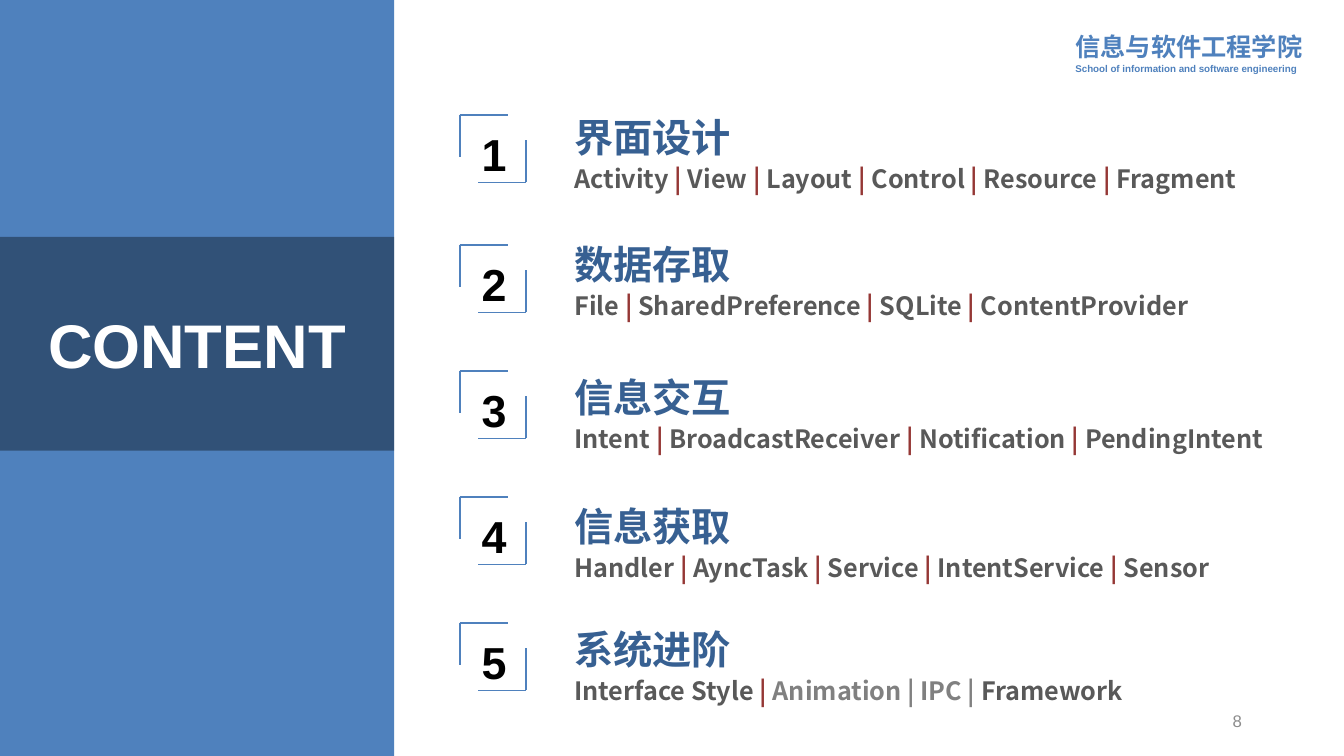
from lxml import etree
from pptx import Presentation, util as u
from pptx.dml.color import RGBColor
from pptx.enum import shapes, text
from pptx.oxml.ns import qn

COLORS = {
    "blue": "4F81BD", "heading": "376092", "body": "595959", "bar": "953735",
    "muted": "808080", "page": "8C8C8C", "black": "000000", "white": "FFFFFF",
}
LATIN, CJK = "Arial", "Noto Sans CJK SC"
COLUMNS, ROWS = 160, 90


class Deck:
    def __init__(self, prs):
        self.prs = prs
        self.s = prs.slides.add_slide(prs.slide_layouts[5])

    def color(self, name):
        return RGBColor.from_string(COLORS[name])

    def x(self, columns):
        return round(self.prs.slide_width * columns / COLUMNS)

    def y(self, rows):
        return round(self.prs.slide_height * rows / ROWS)

    def box(self, left, top, width, height):
        return self.x(left), self.y(top), self.x(width), self.y(height)

    def style(self, p, size, color=None, font=LATIN, bold=True, spacing=None):
        p.font.size = u.Pt(size)
        p.font.bold = bold
        p.font.name = font
        if color:
            p.font.color.rgb = self.color(color)
        if spacing:
            p.line_spacing = spacing
        props = p._p.get_or_add_pPr().find(qn("a:defRPr"))
        etree.SubElement(props, qn("a:ea"), typeface=CJK)

    def panel(self, *grid):
        sp = self.s.shapes.add_shape(shapes.MSO_SHAPE.RECTANGLE, *self.box(*grid))
        sp.shadow.inherit = False
        sp.fill.solid()
        sp.fill.fore_color.rgb = self.color("blue")
        sp.line.fill.background()

    def title(self, words, *grid):
        sp = self.s.shapes.title
        sp.left, sp.top, sp.width, sp.height = self.box(*grid)
        sp.element.getparent().append(sp.element)
        sp.fill.solid()
        sp.fill.fore_color.rgb = self.color("black")
        shade = sp.element.spPr.find(".//" + qn("a:srgbClr"))
        etree.SubElement(shade, qn("a:alpha"), val="37000")
        tf = sp.text_frame
        tf.text = words
        tf.auto_size = text.MSO_AUTO_SIZE.NONE
        tf.vertical_anchor = text.MSO_ANCHOR.MIDDLE
        tf.paragraphs[0].alignment = text.PP_ALIGN.CENTER
        self.style(tf.paragraphs[0], 44, "white")

    def textbox(self, words, *grid, parent=None, middle=False, grow=False):
        sp = (parent or self.s).shapes.add_textbox(*self.box(*grid))
        tf = sp.text_frame
        tf.text = words
        tf.word_wrap = True
        if middle:
            tf.vertical_anchor = text.MSO_ANCHOR.MIDDLE
        if grow:
            tf.auto_size = text.MSO_AUTO_SIZE.SHAPE_TO_FIT_TEXT
        return tf

    def line(self, group, x1, y1, x2, y2):
        sp = group.shapes.add_connector(
            shapes.MSO_CONNECTOR.STRAIGHT,
            self.x(x1), self.y(y1), self.x(x2), self.y(y2))
        sp.line.color.rgb = self.color("blue")
        sp.line.width = u.Pt(1.25)
        etree.SubElement(sp.element.spPr, qn("a:effectLst"))

    def marker(self, number, top):
        group = self.s.shapes.add_group_shape()
        left, right, bottom = 54.72, 62.64, top + 8.04
        for x, y, sign in ((left, top, 1), (right, bottom, -1)):
            self.line(group, x, y, x, y + sign * 5.04)
            self.line(group, x, y, x + sign * 5.76, y)
        tf = self.textbox(str(number), 56.16, top + 0.12, 5.52, 7.8,
                          parent=group, grow=True)
        self.style(tf.paragraphs[0], 32, "black", spacing=1.1)

    def topic(self, heading, runs, top, width):
        tf = self.textbox(heading, 67.2, top, width, 13.56, middle=True)
        self.style(tf.paragraphs[0], 28, "heading", CJK, spacing=1.1)
        p = tf.add_paragraph()
        self.style(p, 18, font=CJK, spacing=1.1)
        for words, color in runs:
            r = p.add_run()
            r.text = words
            r.font.color.rgb = self.color(color)

    def school(self, name, translation):
        tf = self.textbox(name + "\n" + translation, 126.84, 2.76, 29.4, 6.72, grow=True)
        for p, size in zip(tf.paragraphs, (18, 7)):
            self.style(p, size, "blue", spacing=1.1)

    def page_number(self, number):
        tf = self.textbox(str(number), 113.04, 83.4, 36, 4.8, middle=True)
        tf.paragraphs[0].alignment = text.PP_ALIGN.RIGHT
        self.style(tf.paragraphs[0], 12, "page", bold=False)


def barred(*names):
    runs = []
    for name in names[:-1]:
        runs += [(name + " ", "body"), ("| ", "bar")]
    return runs + [(names[-1], "body")]


TOPICS = [
    ("界面设计", barred("Activity", "View", "Layout", "Control", "Resource", "Fragment"),
     13.68, 11.16, 88.44),
    ("数据存取", barred("File", "SharedPreference", "SQLite", "ContentProvider"),
     29.16, 26.28, 89.4),
    ("信息交互", barred("Intent", "BroadcastReceiver", "Notification", "PendingIntent"),
     44.16, 42.12, 89.4),
    ("信息获取", barred("Handler", "AyncTask", "Service", "IntentService", "Sensor"),
     59.16, 57.48, 89.4),
    ("系统进阶", [("Interface Style ", "body"), ("| ", "bar"),
              ("Animation | IPC | ", "muted"), ("Framework", "body")],
     74.16, 72.12, 88.44),
]


def main():
    prs = Presentation()
    prs.slide_width, prs.slide_height = u.Inches(13.33), u.Inches(7.5)
    deck = Deck(prs)
    deck.school("信息与软件工程学院", "School of information and software engineering")
    deck.page_number(8)
    deck.panel(0, 0, 46.92, ROWS)
    deck.title("CONTENT", 0, 28.2, 46.92, 25.44)
    for number, (heading, runs, marker_top, text_top, width) in enumerate(TOPICS, 1):
        deck.marker(number, marker_top)
        deck.topic(heading, runs, text_top, width)
    prs.save("out.pptx")


if __name__ == "__main__":
    main()
